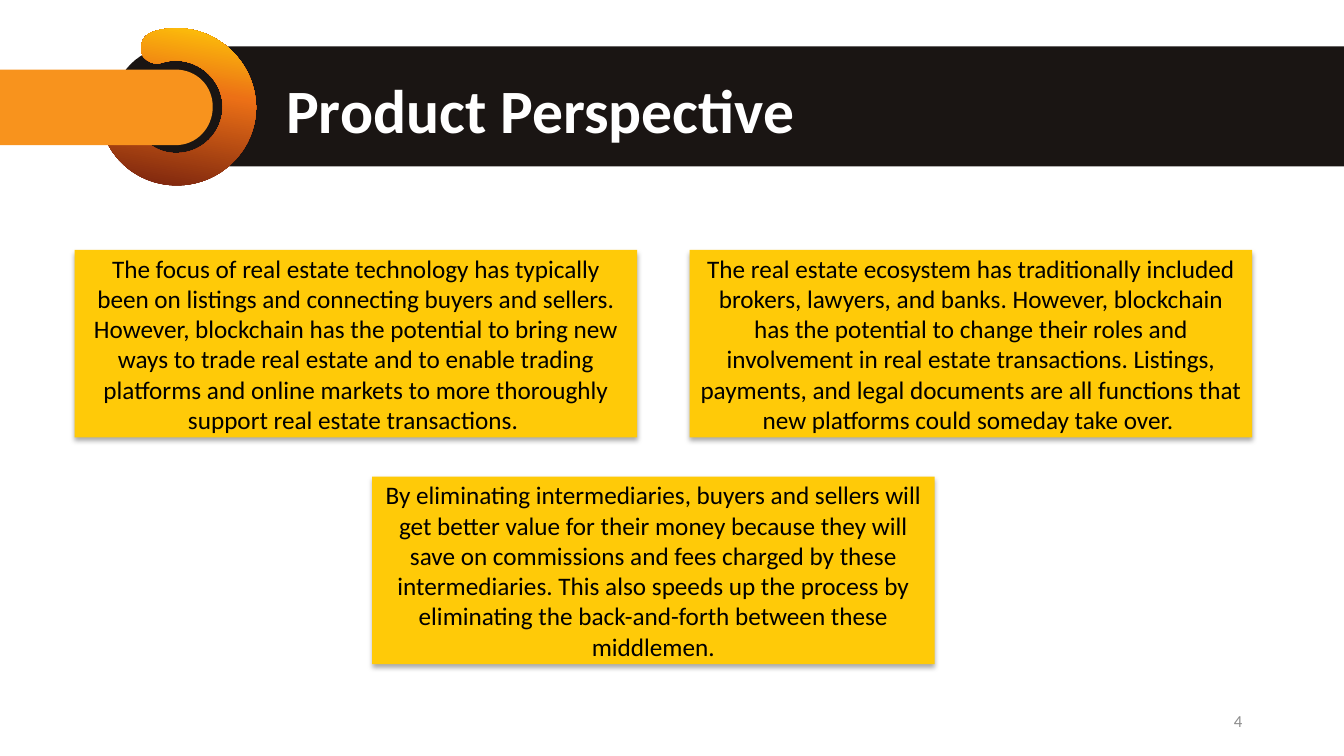
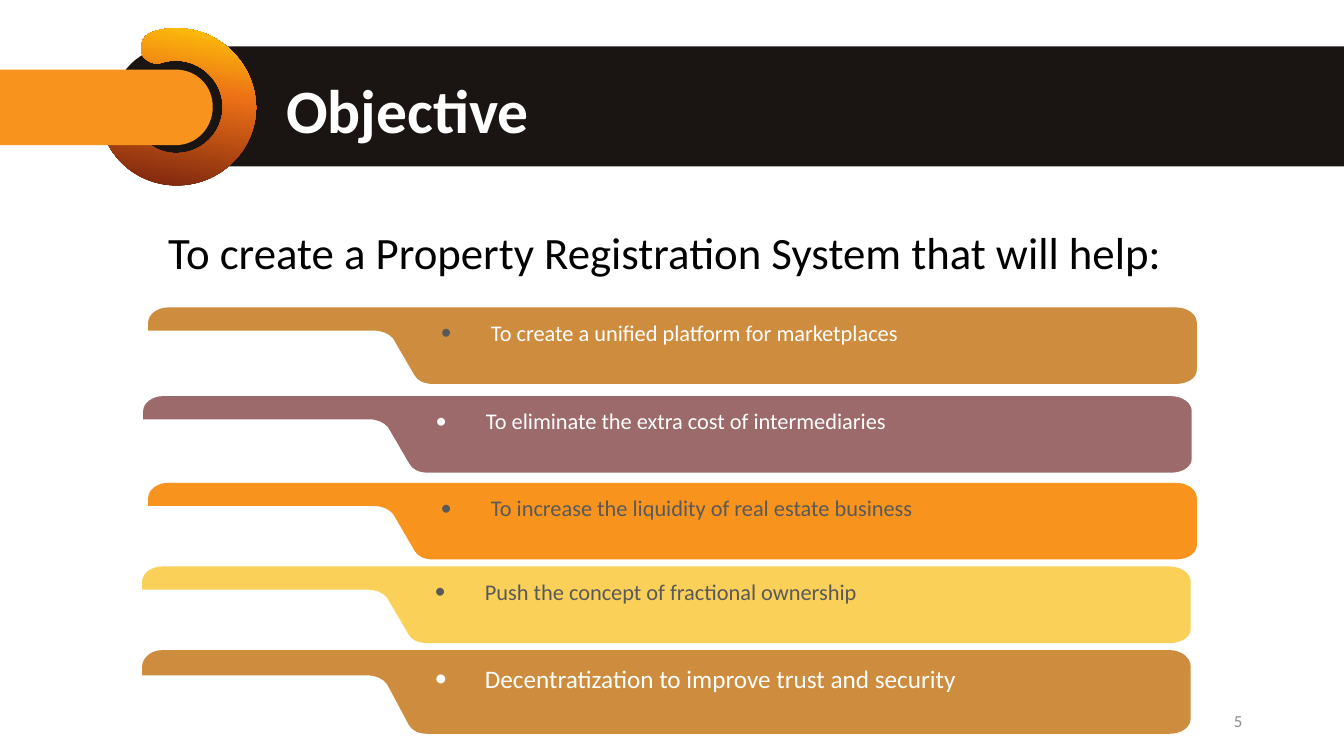
from copy import deepcopy

from pptx import Presentation
from pptx.dml.color import RGBColor as RGB
from pptx.enum.shapes import MSO_SHAPE as Shape
from pptx.enum.text import MSO_ANCHOR as Anchor, PP_ALIGN as Align
from pptx.oxml import parse_xml
from pptx.oxml.ns import nsdecls, qn
from pptx.util import Inches, Pt

# Colours
BLACK = RGB(0x00, 0x00, 0x00)
WHITE = RGB(0xFF, 0xFF, 0xFF)
INK = RGB(0x1A, 0x15, 0x13)
GREY = RGB(0x59, 0x59, 0x59)
PALE = RGB(0x8C, 0x8C, 0x8C)
RUST = RGB(0x77, 0x22, 0x0E)
FLAME = RGB(0xEC, 0x70, 0x16)
GOLD = RGB(0xFF, 0xCA, 0x08)
ORANGE = RGB(0xF8, 0x93, 0x1D)
TAN = RGB(0xCE, 0x8D, 0x3E)
MAUVE = RGB(0x9C, 0x6A, 0x6A)
LEMON = RGB(0xFA, 0xD0, 0x59)

# Text formats
TITLE = {"size": Pt(44), "bold": True}
LEAD = {"size": Pt(32)}
BODY = {"size": Pt(18)}
ITEM = {"size": Pt(16)}
FOOT = {"size": Pt(12)}

# Outlines in inches: a pair is a corner, six numbers are a cubic curve
BAR = [(1.72, 0.18), (1.39, 0.18, 1.12, 0.45, 1.12, 0.78),
       (1.12, 1.1, 1.39, 1.37, 1.72, 1.37), (13.33, 1.37), (13.33, 0.18)]
RING = [(1.75, 0), (1.67, 0, 1.59, 0.01, 1.51, 0.04),
        (1.41, 0.07, 1.37, 0.19, 1.42, 0.28),
        (1.47, 0.34, 1.54, 0.37, 1.61, 0.34),
        (1.65, 0.33, 1.7, 0.32, 1.74, 0.32),
        (2, 0.32, 2.21, 0.53, 2.21, 0.78),
        (2.21, 1.03, 2.01, 1.24, 1.75, 1.24),
        (1.65, 1.24, 1.56, 1.21, 1.48, 1.15), (1.07, 1.15),
        (1.2, 1.4, 1.46, 1.56, 1.75, 1.56),
        (2.19, 1.56, 2.54, 1.21, 2.54, 0.78),
        (2.53, 0.35, 2.18, 0, 1.75, 0)]
TAB = [(1.74, 0.41), (0, 0.41), (0, 1.16), (1.74, 1.16),
       (1.95, 1.16, 2.11, 0.99, 2.11, 0.78),
       (2.11, 0.57, 1.95, 0.41, 1.74, 0.41)]
FLAG_H = 0.76
FLAG = [(0.2, 0), (10.19, 0), (10.31, 0, 10.4, 0.07, 10.4, 0.15),
        (10.4, 0.62), (10.4, 0.7, 10.31, 0.76, 10.19, 0.76), (2.83, 0.76),
        (2.74, 0.76, 2.67, 0.73, 2.64, 0.67), (2.43, 0.31),
        (2.39, 0.26, 2.32, 0.23, 2.24, 0.23), (0, 0.23), (0, 0.15),
        (0, 0.07, 0.09, 0, 0.2, 0)]

CARDS = [
    (0.74, 2.48, "The focus of real estate technology has typically been on "
     "listings and connecting buyers and sellers. However, blockchain has the "
     "potential to bring new ways to trade real estate and to enable trading "
     "platforms and online markets to more thoroughly support real estate "
     "transactions. "),
    (6.84, 2.48, "The real estate ecosystem has traditionally included "
     "brokers, lawyers, and banks. However, blockchain has the potential to "
     "change their roles and involvement in real estate transactions. "
     "Listings, payments, and legal documents are all functions that new "
     "platforms could someday take over. "),
    (3.69, 4.73, "By eliminating intermediaries, buyers and sellers will get "
     "better value for their money because they will save on commissions and "
     "fees charged by these intermediaries. This also speeds up the process "
     "by eliminating the back-and-forth between these middlemen."),
]
# Left, top, height, fill, bullet colour, text colour, format, text
FLAGS = [
    (1.47, 3.05, 0.76, TAN, GREY, WHITE, ITEM,
     "To create a unified platform for marketplaces"),
    (1.42, 3.93, 0.76, MAUVE, WHITE, WHITE, ITEM,
     "To eliminate the extra cost of intermediaries"),
    (1.47, 4.79, 0.76, ORANGE, GREY, GREY, ITEM,
     "To increase the liquidity of real estate business"),
    (1.41, 5.62, 0.76, LEMON, GREY, GREY, ITEM,
     "Push the concept of fractional ownership"),
    (1.41, 6.45, 0.83, TAN, WHITE, WHITE, BODY,
     "Decentratization to improve trust and security"),
]


def paint(shape, fill):
    shape.shadow.inherit = False
    shape.fill.solid()
    shape.fill.fore_color.rgb = fill
    shape.line.fill.background()


def draw(slide, path, left, top, fill, tall=1):
    """Draw an outline from a corner, stretched in height by tall."""
    parts = [[(Inches(left + x), Inches(top + y * tall))
              for x, y in zip(part[::2], part[1::2])] for part in path]
    ends = [part[-1] for part in parts]
    pen = slide.shapes.build_freeform(*ends[0], scale=1.0)
    pen.add_line_segments(ends[1:], close=True)
    shape = pen.convert_to_shape()
    # Bend the segments that have control points
    lines = list(next(shape._element.iter(qn("a:path"))))
    for line, part in zip(lines, parts):
        if len(part) == 3:
            pts = "".join(f'<a:pt x="{x - shape.left}" y="{y - shape.top}"/>'
                          for x, y in part)
            line.getparent().replace(line, parse_xml(
                f'<a:cubicBezTo {nsdecls("a")}>{pts}</a:cubicBezTo>'))
    paint(shape, fill)
    return shape


def write(shape, text, style, color, align=Align.LEFT, **frame):
    """Set the text of a shape and return its paragraph."""
    body = shape.text_frame
    frame = {"word_wrap": True, "vertical_anchor": Anchor.MIDDLE, **frame}
    for key, val in frame.items():
        setattr(body, key, val)
    para = body.paragraphs[0]
    para.alignment = align
    run = para.add_run()
    run.text = text
    for key, val in {"name": "Calibri", **style}.items():
        setattr(run.font, key, val)
    run.font.color.rgb = color
    return para


def label(slide, box, *args, **frame):
    shape = slide.shapes.add_textbox(*map(Inches, box))
    return write(shape, *args, **frame)


def blend(shape):
    """Fill with a gradient that rises from rust to gold."""
    fill = shape.fill
    fill.gradient()
    fill.gradient_angle = 80
    stops = shape._element.spPr.find(qn("a:gradFill")).find(qn("a:gsLst"))
    stops.append(deepcopy(stops[0]))
    tints = [(0, RUST), (0.6, FLAME), (1, GOLD)]
    for stop, (pos, tint) in zip(fill.gradient_stops, tints):
        stop.position = pos
        stop.color.rgb = tint


def shade(shape):
    """Give a shape a soft shadow below."""
    props = shape._element.spPr
    props.remove(props.find(qn("a:effectLst")))
    props.append(parse_xml(
        f'<a:effectLst {nsdecls("a")}><a:outerShdw blurRad="{Pt(3.5)}" '
        f'dist="{Pt(2.2)}" dir="5400000" algn="ctr" rotWithShape="0">'
        '<a:srgbClr val="000000"><a:alpha val="32000"/></a:srgbClr>'
        '</a:outerShdw></a:effectLst>'))


def bullet(para, color, gap):
    """Hang a bullet of its own colour before the text."""
    props = para._p.get_or_add_pPr()
    props.set("marL", str(Inches(gap)))
    props.set("indent", str(-Inches(gap)))
    for tag in (f'buClr {nsdecls("a")}><a:srgbClr val="{color}"/></a:buClr',
                f'buFont {nsdecls("a")} typeface="Calibri"/',
                f'buChar {nsdecls("a")} char="•"/'):
        props.append(parse_xml(f"<a:{tag}>"))


def header(slide, left, top, title):
    draw(slide, BAR, left, top, INK)
    blend(draw(slide, RING, left, top, GOLD))
    draw(slide, TAB, left, top, ORANGE)
    box = (left + 2.74, top + 0.12, 9.68, 1.45)
    label(slide, box, title, TITLE, WHITE).line_spacing = 0.9


def card(slide, left, top, text):
    box = map(Inches, (left, top, 5.58, 1.86))
    shape = slide.shapes.add_shape(Shape.RECTANGLE, *box)
    paint(shape, GOLD)
    shade(shape)
    write(shape, text, BODY, BLACK, Align.CENTER)


def flag(slide, left, top, high, fill, dot, color, style, text):
    shape = draw(slide, FLAG, left, top, fill, high / FLAG_H)
    para = write(shape, text, style, color,
                 margin_left=Inches(2.9), margin_right=Inches(0.2),
                 margin_top=Inches(0.04), margin_bottom=Inches(0.31))
    bullet(para, dot, 0.5)


def page(deck, title, num):
    """Add a slide with the shared header and page number."""
    slide = deck.slides.add_slide(deck.slide_layouts[6])
    header(slide, 0, 0.28, title)
    label(slide, (9.42, 6.95, 3, 0.4), str(num), FOOT, PALE, Align.RIGHT)
    return slide


def main():
    deck = Presentation()
    deck.slide_width, deck.slide_height = Inches(13.33), Inches(7.5)

    # Three cards
    slide = page(deck, "Product Perspective", 4)
    for row in CARDS:
        card(slide, *row)

    # List of flags
    slide = page(deck, "Objective", 5)
    for row in FLAGS:
        flag(slide, *row)
    label(slide, (1.57, 2.18, 10.3, 0.64),
          "To create a Property Registration System that will help:",
          LEAD, BLACK, vertical_anchor=Anchor.TOP)

    deck.save("out.pptx")


if __name__ == "__main__":
    main()
